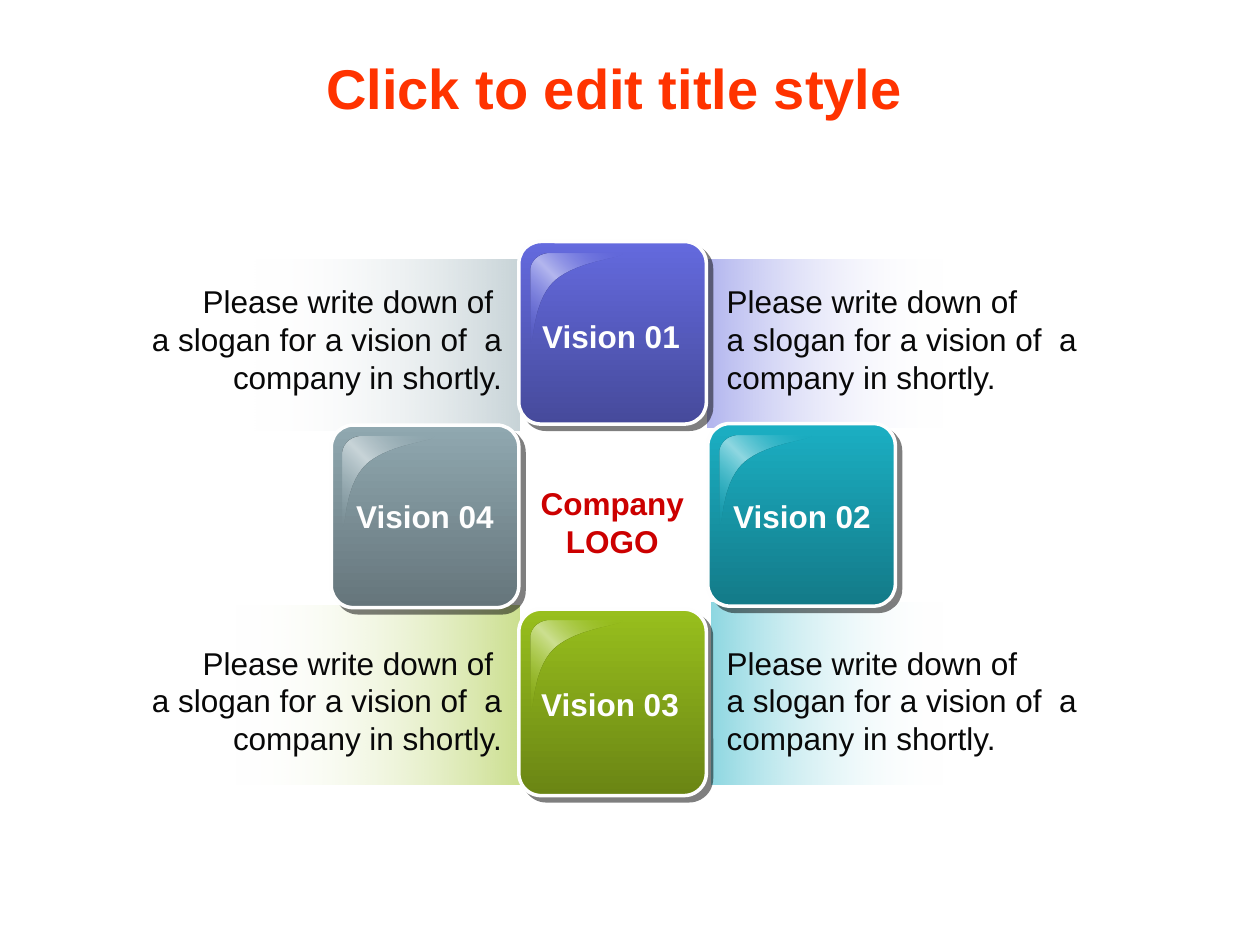
import pptx
import pptx.dml.color
import pptx.enum.shapes
import pptx.enum.text
import pptx.oxml
import pptx.oxml.ns
import pptx.util

Cm = pptx.util.Cm
SHAPE = pptx.enum.shapes.MSO_SHAPE
ALIGN = pptx.enum.text.PP_ALIGN
ANCHOR = pptx.enum.text.MSO_ANCHOR
FIT = pptx.enum.text.MSO_AUTO_SIZE
NS = pptx.oxml.ns.nsdecls("a")
qn = pptx.oxml.ns.qn

# Lengths are in cm: left, top, width, height
TITLE_BOX = (2.33, 0.97, 20.12, 1.57)
LOGO_BOX = (10.44, 9.63, 3.81, 1.78)
WHITE = "FEFEFE"
INDIGO, TEAL, GREEN, GREY = "646ADE", "1BAFC3", "98BF1D", "90A8B0"

# box, colour, whether the colour fades out to the right
BANDS = [
    ((5.08, 5.23, 5.4, 3.46), GREY, False),
    ((4.7, 12.21, 5.77, 3.61), GREEN, False),
    ((14.35, 12.14, 4.7, 3.68), TEAL, True),
    ((14.27, 5.23, 4.78, 3.38), INDIGO, True),
]
# box, colour, dark end, gloss
TILES = [
    ((10.46, 4.87, 3.78, 3.68), INDIGO, "464A9B", "B4B7EF"),
    ((14.27, 8.54, 3.78, 3.68), TEAL, "137A88", "90D8E2"),
    ((10.46, 12.28, 3.78, 3.76), GREEN, "6A8514", "CDE091"),
    ((6.68, 8.57, 3.78, 3.68), GREY, "65757B", "C9D5D9"),
]
# label, left, top
LABELS = [
    ("Vision 01", 10.68, 6.27),
    ("Vision 03", 10.66, 13.69),
    ("Vision 02", 14.53, 9.9),
    ("Vision 04", 6.93, 9.9),
]
SLOGAN_ROWS = (5.57, 12.85)
SLOGAN_COLUMNS = [
    (2.55, ALIGN.RIGHT, "Please write down of "),
    (14.4, ALIGN.LEFT, "Please write down of"),
]
SLOGAN_END = "a slogan for a vision of  a company in shortly."

# Gloss outline in hundredths of a cm: start, then (controls, end)
GLOSS_START = (38, 0)
GLOSS_SEGMENTS = [
    ([(18, 0), (0, 15)], (0, 36)),
    ([], (0, 180)),
    ([(8, 183), (3, 94)], (51, 53)),
    ([(99, 13), (188, 10)], (185, 0)),
]


def rgb(color):
    return pptx.dml.color.RGBColor.from_string(color)


def set_gradient(sp, stops, angle):
    """Fill with stops of (percent, colour, opacity percent)."""
    gs = "".join(
        f'<a:gs pos="{pos * 1000}"><a:srgbClr val="{rgb(color)}">'
        f'<a:alpha val="{opacity * 1000}"/></a:srgbClr></a:gs>'
        for pos, color, opacity in stops)
    sp.fill.background()
    spPr = sp._element.spPr
    spPr.replace(spPr.find(qn("a:noFill")), pptx.oxml.parse_xml(
        f'<a:gradFill {NS} rotWithShape="1"><a:gsLst>{gs}</a:gsLst>'
        f'<a:lin ang="{angle * 60000}" scaled="0"/></a:gradFill>'))


def add_text(s, box, lines, color, size=18, bold=False, align=ALIGN.LEFT,
             wrap=True, anchor=ANCHOR.TOP, fit=FIT.SHAPE_TO_FIT_TEXT):
    tf = s.shapes.add_textbox(*map(Cm, box)).text_frame
    frame = {"word_wrap": wrap, "vertical_anchor": anchor, "auto_size": fit}
    for name, value in frame.items():
        setattr(tf, name, value)
    font = {"name": "Arial", "size": pptx.util.Pt(size), "bold": bold}
    for i, line in enumerate(lines):
        p = tf.add_paragraph() if i else tf.paragraphs[0]
        p.alignment = align
        r = p.add_run()
        r.text = line
        for name, value in font.items():
            setattr(r.font, name, value)
        r.font.color.rgb = rgb(color)


def add_band(s, box, color, fades_right):
    sp = s.shapes.add_shape(SHAPE.RECTANGLE, *map(Cm, box))
    sp.shadow.inherit = False
    sp.line.fill.background()
    ends = [(color, 50), ("FFFFFF", 0)]
    if not fades_right:
        ends.reverse()
    set_gradient(sp, [(0, *ends[0]), (100, *ends[1])], 0)


def add_gloss(group, left, top, color, gloss):
    builder = group.shapes.build_freeform(*GLOSS_START, scale=Cm(0.01))
    builder.add_line_segments([end for _, end in GLOSS_SEGMENTS], close=True)
    sp = builder.convert_to_shape(Cm(left), Cm(top))
    # Bend the segments that have control points
    lines = list(sp._element.iter(qn("a:lnTo")))
    for line, (controls, end) in zip(lines, GLOSS_SEGMENTS):
        if controls:
            pts = "".join(f'<a:pt x="{x}" y="{y}"/>' for x, y in controls + [end])
            line.getparent().replace(line, pptx.oxml.parse_xml(
                f'<a:cubicBezTo {NS}>{pts}</a:cubicBezTo>'))
    sp.shadow.inherit = False
    sp.line.fill.background()
    set_gradient(sp, [(0, color, 0), (50, gloss, 100), (100, color, 0)], 315)


def add_tile(s, box, color, dark, gloss):
    left, top = box[:2]
    group = s.shapes.add_group_shape()
    sp = group.shapes.add_shape(SHAPE.ROUNDED_RECTANGLE, *map(Cm, box))
    sp.adjustments[0] = 0.12
    sp.line.color.rgb = rgb(WHITE)
    sp.line.width = pptx.util.Pt(2)
    set_gradient(sp, [(0, color, 100), (100, dark, 100)], 90)
    # Hard drop shadow to the lower right
    sp.shadow.inherit = False
    effects = sp._element.spPr.find(qn("a:effectLst"))
    effects.append(pptx.oxml.parse_xml(
        f'<a:outerShdw {NS} dist="{pptx.util.Pt(4.2)}" dir="2700000" '
        f'algn="ctr" rotWithShape="0"><a:srgbClr val="{rgb("000000")}">'
        '<a:alpha val="50000"/></a:srgbClr></a:outerShdw>'))
    add_gloss(group, left + 0.23, top + 0.24, color, gloss)


def main():
    prs = pptx.Presentation()
    prs.slide_width, prs.slide_height = Cm(25.4), Cm(19.05)
    s = prs.slides.add_slide(prs.slide_layouts[6])

    # Title
    add_text(s, TITLE_BOX, ["Click to edit title style"], "FF3300", size=32,
             bold=True, align=ALIGN.CENTER, anchor=ANCHOR.MIDDLE, fit=FIT.NONE)
    # Fading bands behind the tiles
    for band in BANDS:
        add_band(s, *band)
    # Vision tiles
    for tile in TILES:
        add_tile(s, *tile)
    # Slogans
    for left, align, start in SLOGAN_COLUMNS:
        for top in SLOGAN_ROWS:
            add_text(s, (left, top, 7.82, 2.54), [start, SLOGAN_END],
                     "080808", align=align)
    # Tile labels
    for label, left, top in LABELS:
        add_text(s, (left, top, 3.3, 1.02), [label], WHITE, bold=True, wrap=False)
    # Centre
    add_text(s, LOGO_BOX, ["Company", "LOGO"], "CC0000", bold=True,
             align=ALIGN.CENTER)
    prs.save("out.pptx")


if __name__ == "__main__":
    main()
